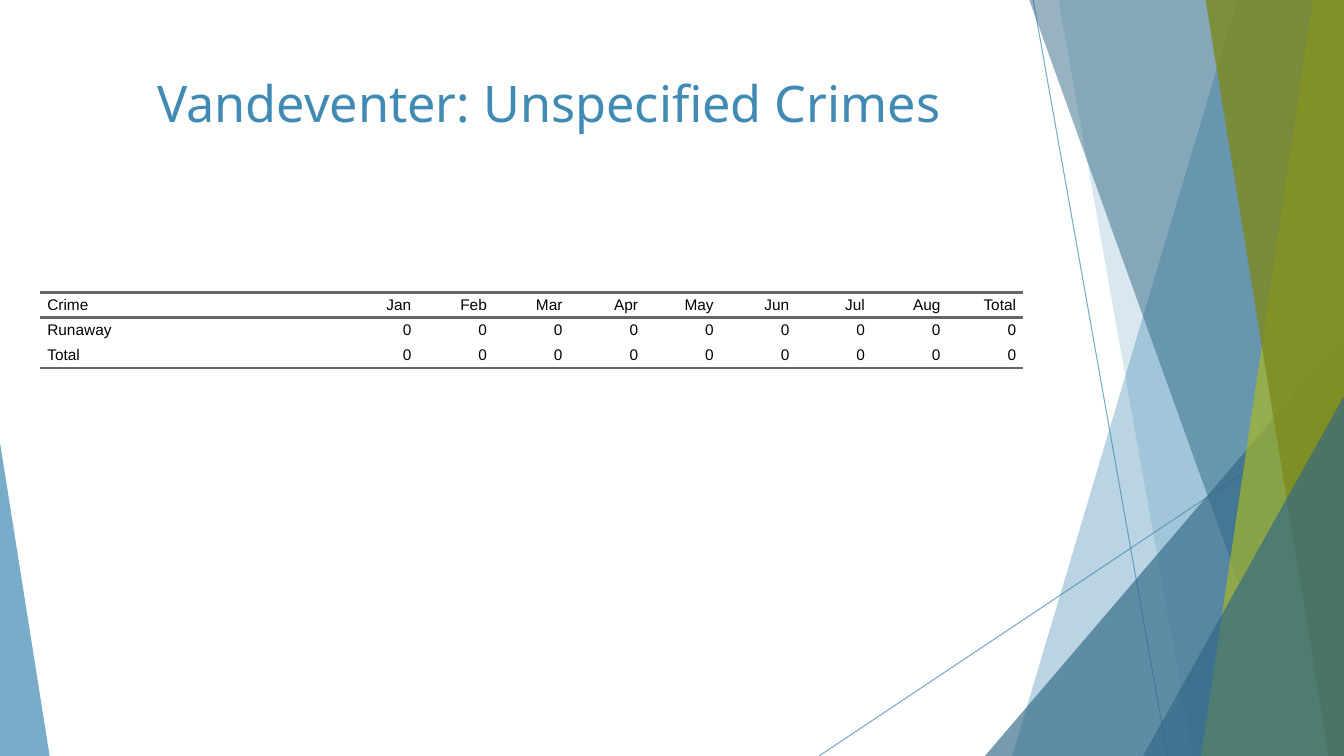
from lxml.etree import SubElement
from pptx import Presentation
from pptx.dml.color import RGBColor
from pptx.enum.shapes import MSO_CONNECTOR as Connector, MSO_SHAPE as Shape
from pptx.enum.text import MSO_ANCHOR as Anchor, PP_ALIGN as Align
from pptx.oxml.ns import qn
from pptx.util import Pt

COLORS = {
    "blue": "418AB3",
    "navy": "316886",
    "lime": "A6B727",
    "olive": "7D891D",
    "rule": "666666",
    "ink": "000000",
}
WIDTH, HEIGHT = 960, 540
BLEED = -0.7
NO_TABLE_STYLE = "{2D5ABB26-0587-4C30-8999-92F81FD0307C}"
CELL_FORMAT = {
    "margin_left": 0,
    "margin_right": 0,
    "margin_top": 0,
    "margin_bottom": 0,
    "vertical_anchor": Anchor.MIDDLE,
}
MONTHS = ["Jan", "Feb", "Mar", "Apr", "May", "Jun", "Jul", "Aug"]
CRIME_ROWS = [
    ["Crime", *MONTHS, "Total"],
    ["Runaway", *["0"] * 9],
    ["Total", *["0"] * 9],
]


def rgb(color):
    return RGBColor.from_string(COLORS[color])


def apply_format(target, values):
    for name, value in values.items():
        setattr(target, name, value)


def set_opacity(shape, percent):
    """Make every colour of the shape's fill and line translucent."""
    for color in shape._element.spPr.iter(qn("a:srgbClr")):
        SubElement(color, qn("a:alpha"), val=str(percent * 1000))


def paint(facet, color, opacity):
    facet.shadow.inherit = False
    facet.fill.solid()
    facet.fill.fore_color.rgb = rgb(color)
    facet.line.fill.background()
    set_opacity(facet, opacity)


def add_ray(slide, start, end):
    ray = slide.shapes.add_connector(Connector.STRAIGHT, *map(Pt, start + end))
    ray.line.width = Pt(0.75)
    ray.line.color.rgb = rgb("blue")
    set_opacity(ray, 70)
    SubElement(ray._element.spPr, qn("a:effectLst"))


def add_band(slide, top_left, bottom_left, color, opacity):
    """Draw a full-height band from a slanted left edge to the slide's right edge."""
    builder = slide.shapes.build_freeform(Pt(top_left), Pt(BLEED), scale=1.0)
    corners = [(WIDTH, BLEED), (WIDTH, HEIGHT), (bottom_left, HEIGHT)]
    builder.add_line_segments([(Pt(x), Pt(y)) for x, y in corners], close=True)
    paint(builder.convert_to_shape(), color, opacity)


def add_wedge(slide, left, top, width, apex, color, opacity):
    """Draw a triangle that stands on the slide's bottom edge."""
    wedge = slide.shapes.add_shape(
        Shape.ISOSCELES_TRIANGLE, Pt(left), Pt(top), Pt(width), Pt(HEIGHT - top))
    wedge.adjustments[0] = apex
    paint(wedge, color, opacity)


def add_backdrop(slide):
    add_ray(slide, (738, 0), (834, HEIGHT))
    add_ray(slide, (WIDTH, 290), (585, HEIGHT))
    add_band(slide, 884, 723, "blue", 36)
    add_band(slide, 756, 852, "blue", 20)
    add_wedge(slide, 703.5, 240, 256.5, 1, "navy", 66)
    add_band(slide, 735, 929.5, "navy", 50)
    add_band(slide, 938, 858, "lime", 70)
    add_band(slide, 861, 949, "olive", 80)
    add_wedge(slide, 816.5, 283, 143.5, 1, "navy", 66)
    add_wedge(slide, 0, 316, 35.5, 0, "blue", 70)


def add_title(slide, text):
    title = slide.shapes.title
    apply_format(title, {"left": Pt(53.5), "top": Pt(48),
                         "width": Pt(677), "height": Pt(104)})
    title.text_frame.text = text
    title.text_frame.vertical_anchor = Anchor.TOP
    heading = title.text_frame.paragraphs[0]
    heading.alignment = Align.CENTER
    apply_format(heading.runs[0].font, {"name": "Noto Sans", "size": Pt(36)})
    heading.runs[0].font.color.rgb = rgb("blue")
    slide.shapes._spTree.append(title._element)


def rule_cell(cell, sides):
    for side in sides:
        border = SubElement(cell._tc.get_or_add_tcPr(), qn(f"a:ln{side}"),
                            w=str(Pt(2)))
        fill = SubElement(border, qn("a:solidFill"))
        SubElement(fill, qn("a:srgbClr"), val=COLORS["rule"])


def fill_cell(cell, text, alignment):
    apply_format(cell, CELL_FORMAT)
    cell.text = text
    entry = cell.text_frame.paragraphs[0]
    apply_format(entry, {"alignment": alignment,
                         "space_before": Pt(5), "space_after": Pt(5)})
    indents = entry._p.get_or_add_pPr()
    for margin in ("marL", "marR"):
        indents.set(margin, str(Pt(5)))
    apply_format(entry.runs[0].font, {"name": "Arial", "size": Pt(11)})
    entry.runs[0].font.color.rgb = rgb("ink")


def add_crime_table(slide, rows):
    widths = [216] + [54] * (len(rows[0]) - 1)
    row_height = 18
    table = slide.shapes.add_table(
        len(rows), len(widths), Pt(28.8), Pt(208.8),
        Pt(sum(widths)), Pt(row_height * len(rows))).table
    apply_format(table, {"first_row": False, "horz_banding": False})
    table._tbl.tblPr.find(qn("a:tableStyleId")).text = NO_TABLE_STYLE
    for column, width in zip(table.columns, widths):
        column.width = Pt(width)
    ruled_sides = {0: "TB", len(rows) - 1: "B"}
    for r, row in enumerate(rows):
        table.rows[r].height = Pt(row_height)
        for c, text in enumerate(row):
            cell = table.cell(r, c)
            fill_cell(cell, text, Align.RIGHT if c else Align.LEFT)
            rule_cell(cell, ruled_sides.get(r, ""))
            cell.fill.background()


def main():
    deck = Presentation()
    apply_format(deck, {"slide_width": Pt(WIDTH), "slide_height": Pt(HEIGHT)})
    slide = deck.slides.add_slide(deck.slide_layouts.get_by_name("Title Only"))
    add_backdrop(slide)
    add_crime_table(slide, CRIME_ROWS)
    add_title(slide, "Vandeventer: Unspecified Crimes")
    deck.save("out.pptx")


if __name__ == "__main__":
    main()
